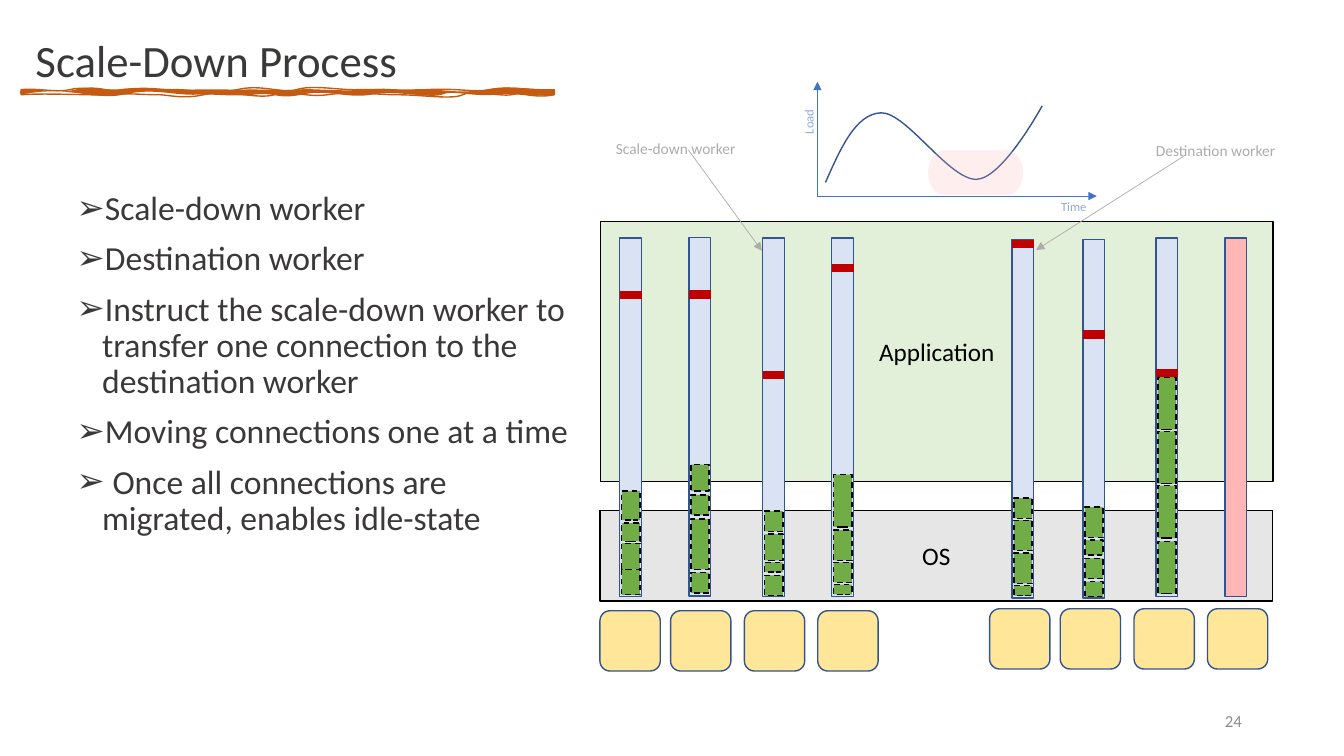
import pptx
import pptx.util
import pptx.dml.color
import pptx.enum.dml
import pptx.enum.shapes
import pptx.enum.text
import pptx.oxml
import pptx.oxml.ns

Cm, Pt = pptx.util.Cm, pptx.util.Pt
RGBColor = pptx.dml.color.RGBColor
Shape = pptx.enum.shapes.MSO_SHAPE
Align, Anchor = pptx.enum.text.PP_ALIGN, pptx.enum.text.MSO_ANCHOR
AutoSize = pptx.enum.text.MSO_AUTO_SIZE
qn = pptx.oxml.ns.qn

BLACK = RGBColor(0x00, 0x00, 0x00)
INK = RGBColor(0x3B, 0x38, 0x38)
OS_GREY = RGBColor(0xE7, 0xE6, 0xE6)
APP_GREEN = RGBColor(0xE2, 0xF0, 0xD9)
CORE_YELLOW = RGBColor(0xFF, 0xE6, 0x99)
WORKER_BLUE = RGBColor(0xDA, 0xE3, 0xF3)
IDLE_PINK = RGBColor(0xFF, 0xB6, 0xB6)
EDGE_BLUE = RGBColor(0x32, 0x54, 0x91)
AXIS_BLUE = RGBColor(0x44, 0x72, 0xC4)
AXIS_LABEL = RGBColor(0x8F, 0xAA, 0xDC)
CONNECTION_GREEN = RGBColor(0x70, 0xAD, 0x47)
LIMIT_RED = RGBColor(0xC0, 0x00, 0x00)
CALLOUT_GREY = RGBColor(0xAF, 0xAB, 0xAB)
PAGE_GREY = RGBColor(0x8C, 0x8C, 0x8C)
BRUSH_ORANGE = RGBColor(0xC5, 0x5A, 0x11)


def add_xml(parent, tag, attributes="", inner=""):
    ns = pptx.oxml.ns.nsdecls("a")
    parent.append(pptx.oxml.parse_xml(f"<a:{tag} {ns} {attributes}>{inner}</a:{tag}>"))


class SlideBuilder:
    font = "Calibri"

    def __init__(self, slide):
        self.slide = slide
        self.shapes = slide.shapes

    def style_text(self, frame, size, color, align=Align.LEFT):
        for paragraph in frame.paragraphs:
            paragraph.alignment = align
            for run in paragraph.runs:
                run.font.name = self.font
                run.font.size = Pt(size)
                run.font.color.rgb = color

    def style_shape(self, shape, fill, line):
        shape.shadow.inherit = False
        if fill is None:
            shape.fill.background()
        else:
            shape.fill.solid()
            shape.fill.fore_color.rgb = fill
        if line is None:
            shape.line.fill.background()
        else:
            shape.line.color.rgb = line
            shape.line.width = Pt(1)

    def placeholder(self, holder, box, lines, size, anchor):
        holder.left, holder.top, holder.width, holder.height = map(Cm, box)
        frame = holder.text_frame
        frame.text = "\n".join(lines)
        frame.auto_size = AutoSize.NONE
        frame.vertical_anchor = anchor
        self.style_text(frame, size, INK)
        for paragraph in frame.paragraphs:
            paragraph.line_spacing = 0.9
        return frame

    def bullets(self, box, lines):
        frame = self.placeholder(self.slide.placeholders[1], box, lines, 24, Anchor.TOP)
        for paragraph in frame.paragraphs:
            paragraph.space_before = Pt(10)
            properties = paragraph._p.get_or_add_pPr()
            properties.set("marL", str(Cm(0.64)))
            properties.set("indent", str(-Cm(0.64)))
            add_xml(properties, "buChar", 'char="➢"')

    def block(self, box, fill, line=EDGE_BLUE, kind=Shape.RECTANGLE, text=""):
        shape = self.shapes.add_shape(kind, *map(Cm, box))
        self.style_shape(shape, fill, line)
        if text:
            shape.text_frame.text = text
            shape.text_frame.vertical_anchor = Anchor.MIDDLE
            self.style_text(shape.text_frame, 18, BLACK, Align.CENTER)
        return shape

    def line(self, start, end, color, width, arrow=False):
        connector = self.shapes.add_connector(
            pptx.enum.shapes.MSO_CONNECTOR.STRAIGHT, *map(Cm, start + end))
        connector.line.color.rgb = color
        connector.line.width = Pt(width)
        properties = connector._element.spPr
        if arrow:
            add_xml(properties.find(qn("a:ln")), "tailEnd", 'type="triangle"')
        add_xml(properties, "effectLst")

    def label(self, box, text, size, color, align=Align.LEFT, wrap=False, rotation=0):
        label = self.shapes.add_textbox(*map(Cm, box))
        label.rotation = rotation
        frame = label.text_frame
        frame.text = text
        frame.word_wrap = wrap
        frame.auto_size = AutoSize.NONE if wrap else AutoSize.SHAPE_TO_FIT_TEXT
        frame.vertical_anchor = Anchor.MIDDLE if wrap else Anchor.TOP
        self.style_text(frame, size, color, align)

    def curves(self, contours, fill, line):
        """One freeform of cubic curves; each contour is (knots, path attributes, closed)."""
        anchors = [knot for knots, _, _ in contours for knot in knots[::3]]
        left, top = (min(values) for values in zip(*anchors))
        width, height = (max(v) - min(v) for v in zip(*anchors))
        builder = self.shapes.build_freeform(*anchors[0], scale=Cm(0.0254))
        builder.add_line_segments(anchors[1:], close=False)
        shape = builder.convert_to_shape()
        self.style_shape(shape, fill, line)
        path_list = shape._element.spPr.find(qn("a:custGeom")).find(qn("a:pathLst"))
        path_list.remove(path_list[0])
        for knots, attributes, closed in contours:
            points = [f'<a:pt x="{x - left}" y="{y - top}"/>' for x, y in knots]
            inner = f"<a:moveTo>{points[0]}</a:moveTo>"
            for i in range(1, len(points), 3):
                inner += f"<a:cubicBezTo>{''.join(points[i:i + 3])}</a:cubicBezTo>"
            add_xml(path_list, "path", f'w="{width}" h="{height}" {attributes}',
                    inner + ("<a:close/>" if closed else ""))


# Worker: left, top, limit height, connections as (top, height)
WORKERS = [
    (15.62, 6.0, 7.44, [(14.35, 0.64), (13.69, 0.66), (13.18, 0.46), (12.37, 0.74)]),
    (17.36, 5.98, 7.42, [(14.43, 0.51), (13.08, 1.27), (12.47, 0.51), (11.71, 0.66)]),
    (19.22, 6.0, 9.45, [(14.5, 0.51), (14.17, 0.25), (13.46, 0.66), (12.88, 0.51)]),
    (20.96, 6.0, 6.76, [(14.73, 0.25), (14.17, 0.51), (13.36, 0.76), (11.96, 1.32)]),
    (25.5, 6.03, 6.15, [(14.76, 0.25), (13.94, 0.76), (13.11, 0.76), (12.55, 0.51)]),
    (27.29, 6.03, 8.43, [(14.66, 0.38), (14.07, 0.51), (13.61, 0.38), (12.78, 0.76)]),
    (29.13, 6.0, 9.4, [(13.64, 1.32), (12.24, 1.32), (10.87, 1.32), (9.5, 1.32)]),
    (30.87, 6.0, None, []),
]
CORE_GROUPS = [(15.12, 15.39), (24.94, 15.34)]
CORE_OFFSETS = [0, 1.78, 3.64, 5.49]

# Curve knots in hundredths of 2.54 cm
LOAD_CURVE = [(819, 181), (834, 147), (849, 113), (874, 112), (899, 111), (942, 179),
              (969, 178), (995, 177), (1034, 105), (1034, 105)]
BRUSH_STROKE = [
    (21, 89), (35, 87), (56, 92), (69, 89), (82, 85), (98, 91), (122, 89), (147, 86),
    (156, 89), (171, 89), (185, 88), (211, 94), (235, 89), (259, 83), (279, 93), (294, 89),
    (309, 84), (334, 89), (352, 89), (371, 88), (389, 90), (422, 89), (454, 87), (470, 92),
    (486, 89), (502, 85), (526, 90), (550, 89), (550, 90), (550, 92), (550, 94), (529, 98),
    (519, 91), (507, 94), (495, 96), (469, 88), (459, 94), (449, 99), (419, 94), (395, 94),
    (371, 94), (351, 90), (325, 94), (300, 97), (289, 88), (272, 94), (255, 99), (226, 88),
    (202, 94), (179, 99), (164, 93), (154, 94), (144, 94), (123, 92), (111, 94), (100, 95),
    (44, 92), (21, 94), (20, 93), (21, 90), (21, 89)]
BRUSH_BODY = [
    (21, 89), (44, 87), (53, 94), (74, 89), (96, 83), (108, 91), (117, 89), (126, 86),
    (162, 89), (187, 89), (211, 88), (229, 89), (240, 89), (251, 88), (279, 90), (294, 89),
    (309, 87), (332, 91), (363, 89), (394, 86), (392, 91), (411, 89), (431, 86), (448, 94),
    (481, 89), (513, 84), (517, 89), (550, 89), (550, 91), (550, 92), (550, 94), (528, 97),
    (516, 91), (491, 94), (466, 96), (449, 89), (438, 94), (426, 98), (393, 89), (368, 94),
    (344, 98), (324, 88), (299, 94), (273, 99), (275, 91), (251, 94), (227, 96), (215, 93),
    (192, 94), (168, 94), (151, 87), (122, 94), (94, 100), (66, 84), (21, 94), (20, 92),
    (21, 90), (21, 89)]


def main():
    deck = pptx.Presentation()
    deck.slide_width, deck.slide_height = Cm(33.87), Cm(19.05)
    page = SlideBuilder(deck.slides.add_slide(deck.slide_layouts[1]))

    # Title and list
    page.placeholder(page.shapes.title, (0.64, -0.25, 14.58, 3.68),
                     ["Scale-Down Process"], 32, Anchor.MIDDLE)
    page.bullets((1.68, 4.7, 12.95, 12.09), [
        "Scale-down worker",
        "Destination worker",
        "Instruct the scale-down worker to transfer one connection to the destination worker",
        "Moving connections one at a time",
        " Once all connections are migrated, enables idle-state"])

    # System layers and cores
    page.block((15.12, 12.86, 16.95, 2.29), OS_GREY, BLACK, text="OS")
    for group_left, core_top in CORE_GROUPS:
        for offset in CORE_OFFSETS:
            page.block((group_left + offset, core_top, 1.52, 1.52), CORE_YELLOW,
                       kind=Shape.ROUNDED_RECTANGLE)
    page.block((15.14, 5.59, 16.94, 6.55), APP_GREEN, BLACK, text="Application")

    # Workers with their connections and limits
    for left, top, limit, connections in WORKERS:
        page.block((left, top, 0.55, 9.04), WORKER_BLUE if connections else IDLE_PINK)
        for connection_top, height in connections:
            connection = page.block((left + 0.05, connection_top, 0.46, height),
                                    CONNECTION_GREEN, BLACK)
            connection.line.dash_style = pptx.enum.dml.MSO_LINE.DASH
        if limit:
            page.line((left, limit), (left + 0.55, limit), LIMIT_RED, 6)

    # Load over time
    origin = (20.6, 4.94)
    for axis_end in [(27.64, 4.94), (20.6, 2.06)]:
        page.line(origin, axis_end, AXIS_BLUE, 0.5, arrow=True)
    page.curves([(LOAD_CURVE, 'fill="none"', False)], None, EDGE_BLUE)
    page.label((19.81, 2.74, 1.14, 0.64), "Load", 9, AXIS_LABEL, rotation=270)
    page.label((26.49, 4.9, 1.17, 0.64), "Time", 9, AXIS_LABEL)
    low_load = page.block((23.39, 3.79, 2.39, 1.12), IDLE_PINK, None,
                          Shape.FLOWCHART_TERMINATOR)
    low_load.rotation = 180
    low_load_color = low_load._element.spPr.find(qn("a:solidFill"))[0]
    add_xml(low_load_color, "alpha", 'val="22000"')

    # Callouts
    page.line((17.35, 3.78), (19.2, 6.32), CALLOUT_GREY, 0.5, arrow=True)
    page.label((15.27, 3.38, 3.56, 0.74), "Scale-down worker", 11, CALLOUT_GREY)
    page.line((29.87, 3.91), (26.11, 6.3), CALLOUT_GREY, 0.5, arrow=True)
    page.label((28.88, 3.43, 3.56, 0.74), "Destination worker", 11, CALLOUT_GREY)

    # Page number and title underline
    page.label((23.93, 17.65, 7.62, 1.02), "24", 12, PAGE_GREY, Align.RIGHT, wrap=True)
    page.curves([(BRUSH_STROKE, 'fill="none"', True), (BRUSH_BODY, 'stroke="0"', True)],
                BRUSH_ORANGE, BRUSH_ORANGE)

    deck.save("out.pptx")


if __name__ == "__main__":
    main()
